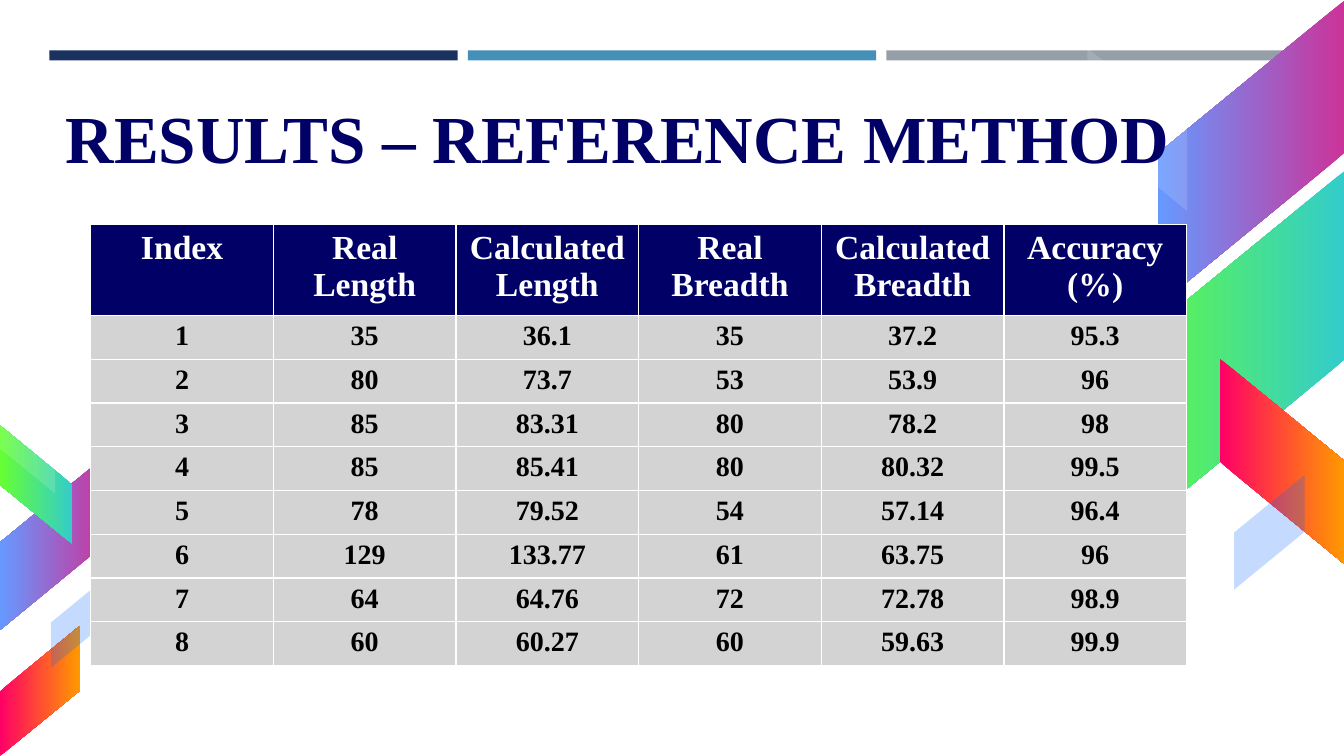
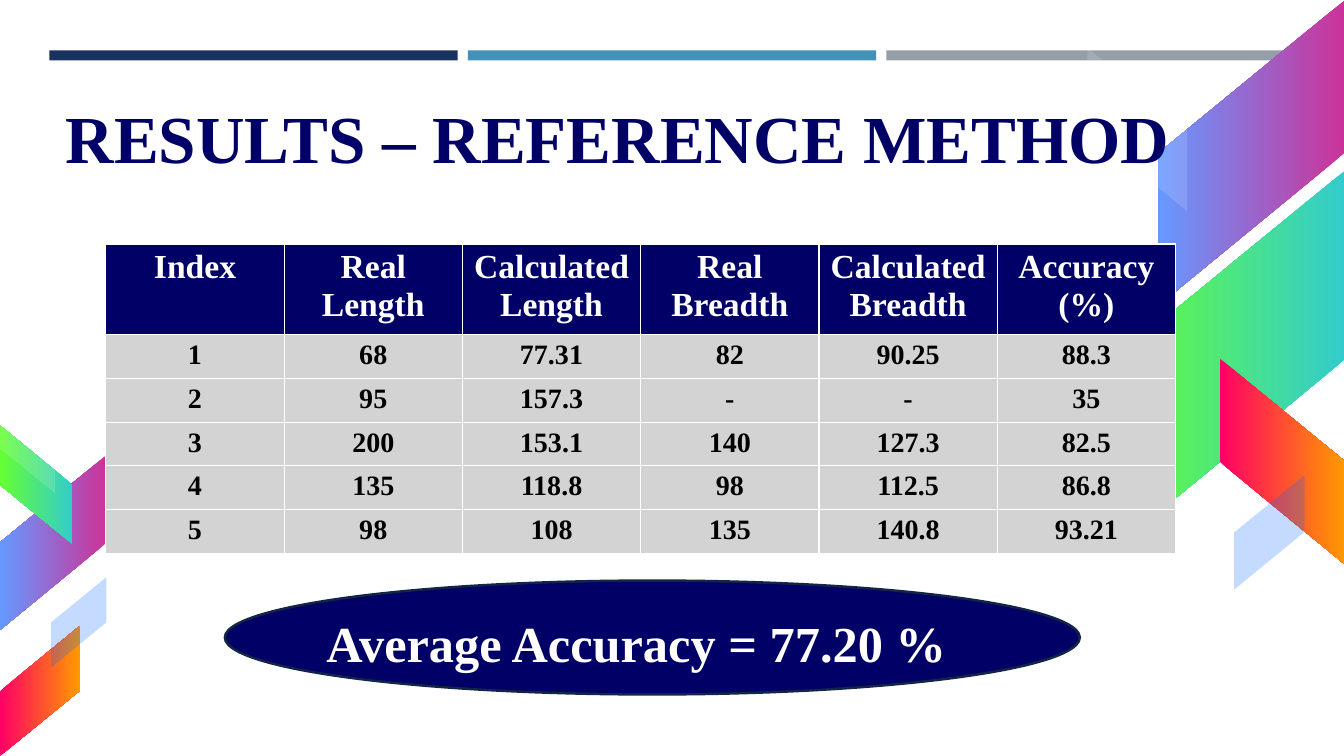
from pptx import Presentation
from pptx.dml.color import RGBColor
from pptx.enum.shapes import MSO_SHAPE as Preset
from pptx.enum.text import MSO_ANCHOR as Anchor, PP_ALIGN as Align
from pptx.oxml.ns import qn
from pptx.oxml.xmlchemy import OxmlElement
from pptx.util import Inches, Pt

FONT = "Times New Roman"
NAVY, WHITE, BLACK, GREY = "000066", "FFFFFF", "000000", "D3D3D3"
OUTLINE = "132547"
VIOLET = ("CC3399", "6699FF")
GREEN = ("33CCCC", "66FF33")
FLAME = ("FF0066", "FF9900")
GLASS, HAZE = (WHITE, 14), ("0066FF", 23)

TITLE = "RESULTS – REFERENCE METHOD"
HEADINGS = ["Index", "Real Length", "Calculated Length",
            "Real Breadth", "Calculated Breadth", "Accuracy\n(%)"]
REFERENCE_ROWS = [
    ("1", "35", "36.1", "35", "37.2", "95.3"),
    ("2", "80", "73.7", "53", "53.9", "96"),
    ("3", "85", "83.31", "80", "78.2", "98"),
    ("4", "85", "85.41", "80", "80.32", "99.5"),
    ("5", "78", "79.52", "54", "57.14", "96.4"),
    ("6", "129", "133.77", "61", "63.75", "96"),
    ("7", "64", "64.76", "72", "72.78", "98.9"),
    ("8", "60", "60.27", "60", "59.63", "99.9"),
]
FURTHER_ROWS = [
    ("1", "68", "77.31", "82", "90.25", "88.3"),
    ("2", "95", "157.3", "-", "-", "35"),
    ("3", "200", "153.1", "140", "127.3", "82.5"),
    ("4", "135", "118.8", "98", "112.5", "86.8"),
    ("5", "98", "108", "135", "140.8", "93.21"),
]
RESULTS = [
    (REFERENCE_ROWS, (0.9, 2.23), 10.87, None),
    (FURTHER_ROWS, (1.05, 2.42), 10.61, "Average Accuracy = 77.20 %"),
]

BAND_COLOURS = ["1A3260", "4590B8", "969FA7"]
BAND_LEFT, BAND_TOP, BAND_WIDTH, BAND_HEIGHT, BAND_GAP = 0.49, 0.5, 4.05, 0.1, 0.1
HEADER_HEIGHT, ROW_HEIGHT = 0.82, 0.41
RIBBON_SLANT = 0.82
RIBBONS = [
    ((10.9, 0.59, 3.03, 1.85), 90, True, VIOLET),
    ((10.31, 2.43, 3.75, 2.29), 90, True, GREEN),
    ((11.7, 3.96, 2.04, 1.24), 270, False, FLAME),
    ((10.47, 0.79, 1.62, 0.99), 270, False, GLASS),
    ((12.02, 4.93, 1.14, 0.7), 270, True, HAZE),
    ((-0.34, 4.86, 1.73, 1.05), 90, True, VIOLET),
    ((-0.23, 4.45, 1.18, 0.72), 90, False, GREEN),
    ((-0.25, 6.46, 1.29, 0.79), 270, True, FLAME),
    ((-0.18, 4.17, 0.9, 0.55), 270, False, GLASS),
    ((0.33, 5.9, 0.9, 0.55), 270, True, HAZE),
]


def colour(value):
    return RGBColor.from_string(value)


def paint(fill, value):
    fill.solid()
    fill.fore_color.rgb = colour(value)


def add_plain(slide, preset, box):
    shape = slide.shapes.add_shape(preset, *map(Inches, box))
    shape.shadow.inherit = False
    shape.line.fill.background()
    return shape


def style(frame, size, value, align=Align.LEFT):
    for paragraph in frame.paragraphs:
        paragraph.alignment = align
        for run in paragraph.runs:
            run.font.name = FONT
            run.font.size = Pt(size)
            run.font.bold = True
            run.font.color.rgb = colour(value)


def add_label(slide, text, box, size, value, inset=0.1):
    frame = slide.shapes.add_textbox(*map(Inches, box)).text_frame
    frame.word_wrap = True
    frame.vertical_anchor = Anchor.MIDDLE
    frame.margin_left = frame.margin_right = Inches(inset)
    frame.text = text
    style(frame, size, value)


def add_ribbon(slide, box, rotation, flipped, tint):
    ribbon = add_plain(slide, Preset.PARALLELOGRAM, box)
    ribbon.adjustments[0] = RIBBON_SLANT
    ribbon.rotation = rotation
    if flipped:
        ribbon._element.spPr.find(qn("a:xfrm")).set("flipH", "1")
    first, second = tint
    if isinstance(second, str):
        ribbon.fill.gradient()
        ribbon.fill.gradient_angle = 270
        for stop, value in zip(ribbon.fill.gradient_stops, tint):
            stop.color.rgb = colour(value)
    else:
        paint(ribbon.fill, first)
        alpha = OxmlElement("a:alpha")
        alpha.set("val", str(second * 1000))
        ribbon._element.spPr.find(qn("a:solidFill"))[0].append(alpha)


def add_backdrop(slide):
    for index, value in enumerate(BAND_COLOURS):
        left = BAND_LEFT + index * (BAND_WIDTH + BAND_GAP)
        band = add_plain(slide, Preset.RECTANGLE,
                         (left, BAND_TOP, BAND_WIDTH, BAND_HEIGHT))
        paint(band.fill, value)
    for ribbon in RIBBONS:
        add_ribbon(slide, *ribbon)
    add_label(slide, TITLE, (0.52, 0.75, 11.9, 1.21), 48, NAVY, 0.13)


def add_results(slide, rows, corner, width):
    height = HEADER_HEIGHT + ROW_HEIGHT * len(rows)
    table = slide.shapes.add_table(
        len(rows) + 1, len(HEADINGS),
        *map(Inches, (*corner, width, height))).table
    table.horz_banding = False
    for column in table.columns:
        column.width = Inches(width / len(HEADINGS))
    for r, values in enumerate([HEADINGS, *rows]):
        header = r == 0
        table.rows[r].height = Inches(HEADER_HEIGHT if header else ROW_HEIGHT)
        for c, value in enumerate(values):
            cell = table.cell(r, c)
            cell.text = value
            paint(cell.fill, NAVY if header else GREY)
            style(cell.text_frame, 24 if header else 20,
                  WHITE if header else BLACK, Align.CENTER)


def add_average(slide, text):
    badge = add_plain(slide, Preset.OVAL, (2.23, 5.76, 8.48, 1.13))
    paint(badge.fill, NAVY)
    paint(badge.line.fill, OUTLINE)
    badge.line.width = Pt(1.75)
    add_label(slide, text, (3.14, 5.97, 6.6, 0.8), 36, WHITE)


def main():
    deck = Presentation()
    deck.slide_width, deck.slide_height = Inches(13.33), Inches(7.5)
    for rows, corner, width, average in RESULTS:
        slide = deck.slides.add_slide(deck.slide_layouts[6])
        add_backdrop(slide)
        add_results(slide, rows, corner, width)
        if average:
            add_average(slide, average)
    deck.save("out.pptx")


if __name__ == "__main__":
    main()
